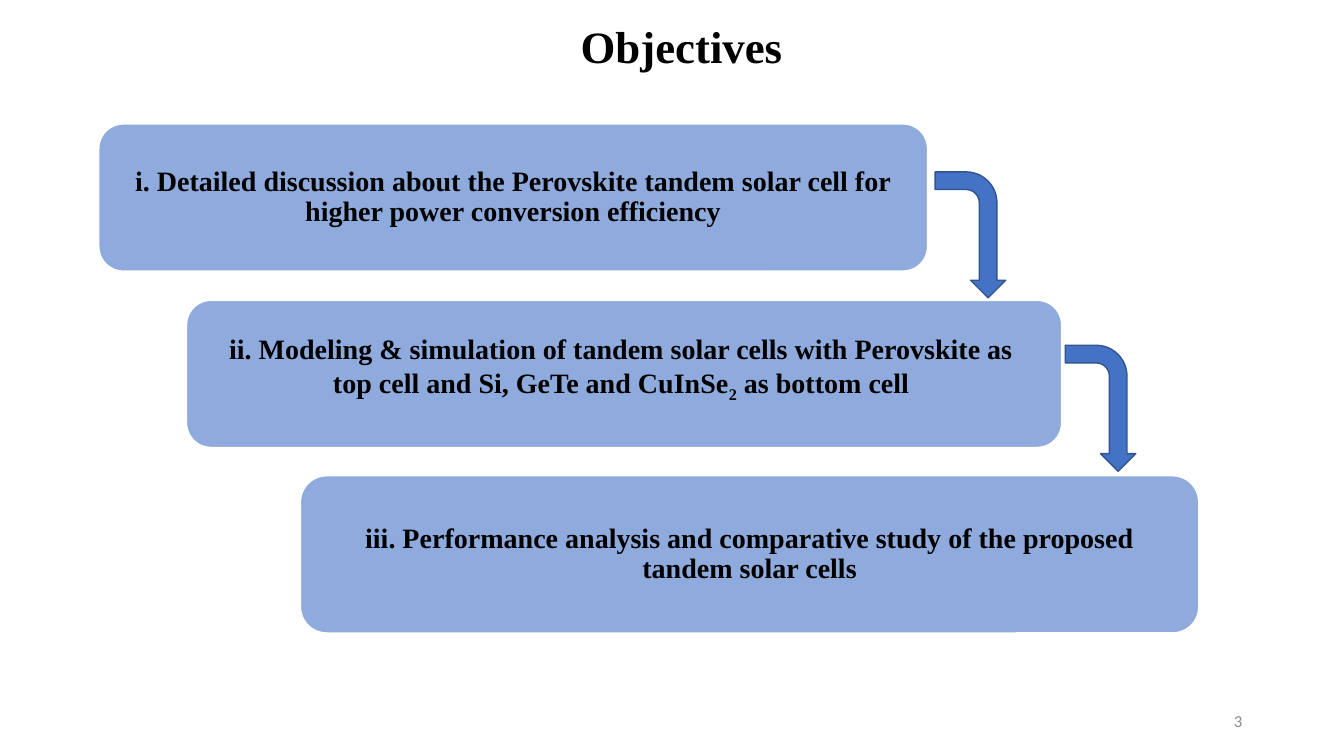
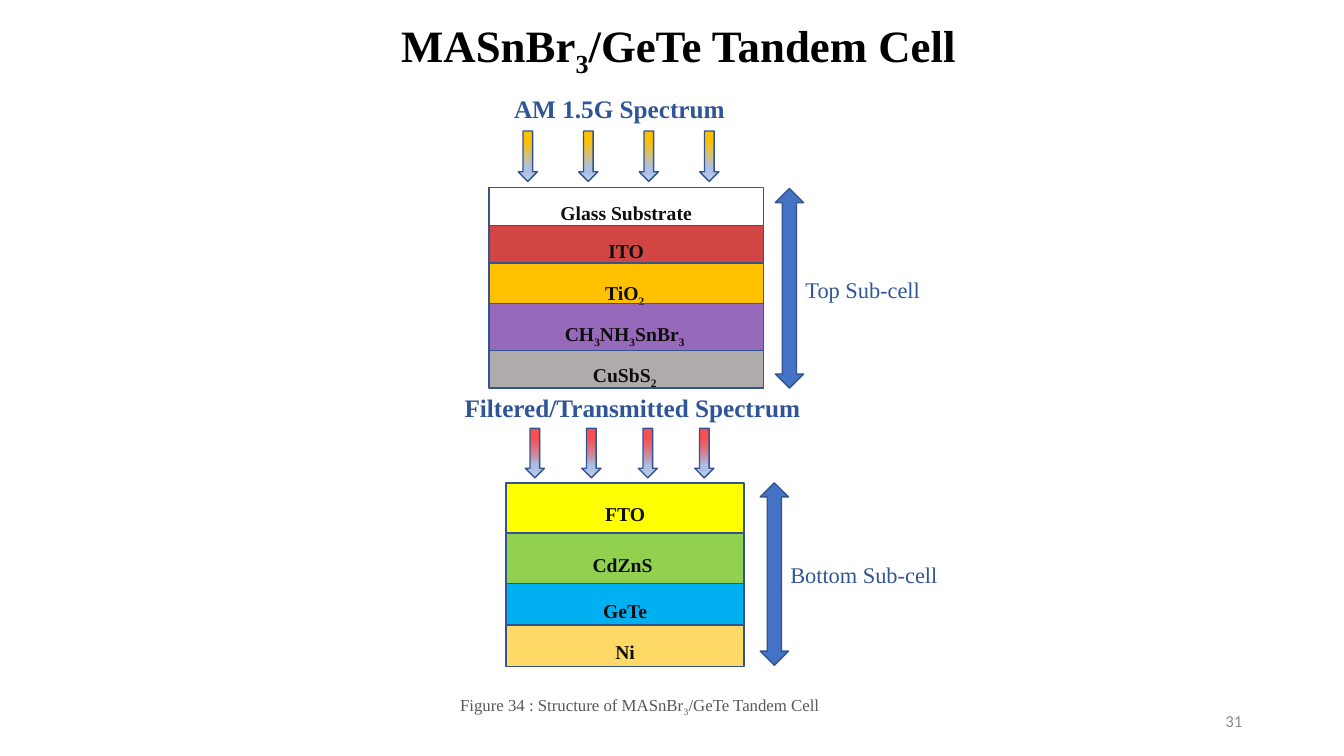
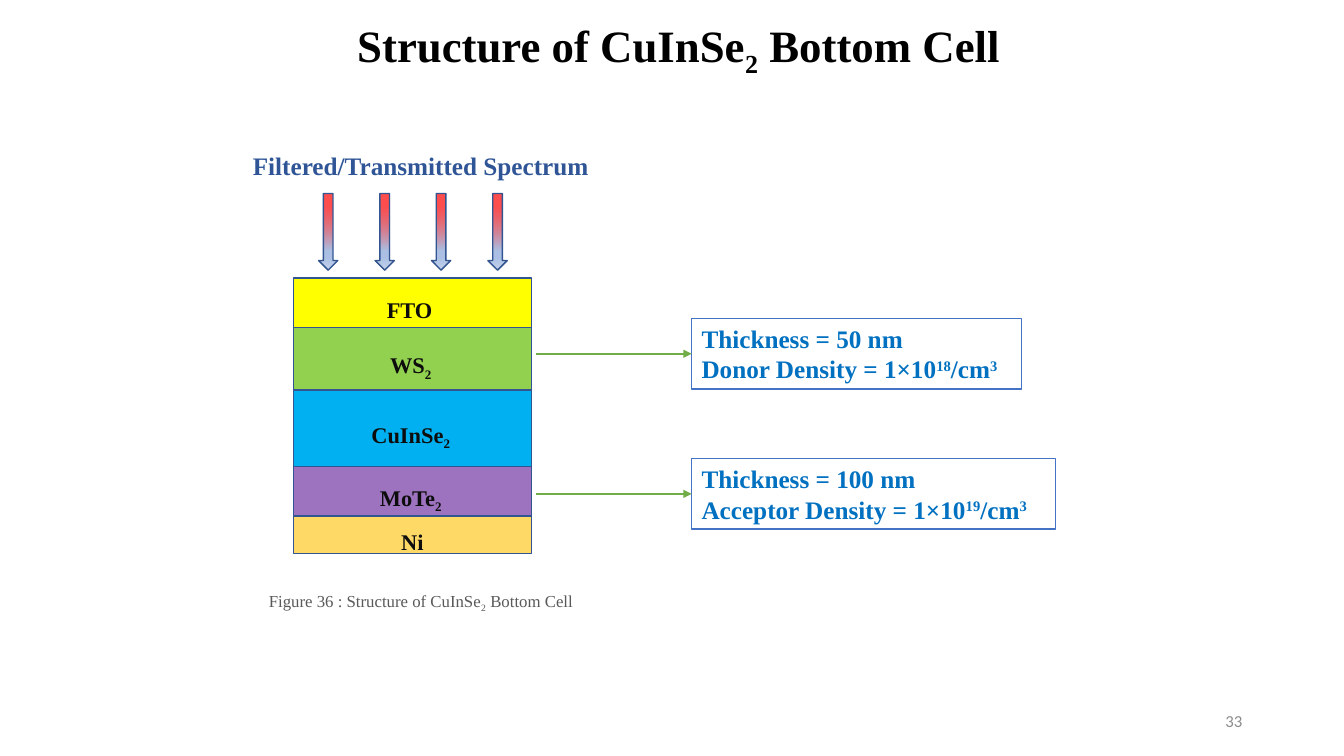
from lxml.etree import SubElement
from pptx import Presentation
from pptx.dml.color import RGBColor
from pptx.enum.shapes import MSO_CONNECTOR, MSO_SHAPE
from pptx.enum.text import MSO_ANCHOR, PP_ALIGN
from pptx.oxml.ns import qn
from pptx.util import Emu, Pt

PX = 9144  # 100 px to the inch
SERIF = "Times New Roman"
BLACK, INK, WHITE = "000000", "0D0D0D", "FFFFFF"
GREY, CAPTION_GREY = "8C8C8C", "595959"
BLUE, OUTLINE, NAVY, PALE_BLUE = "4472C4", "325491", "2F5597", "8FAADC"
NOTE_BLUE, GREEN = "0070C0", "70AD47"

# Gradient stops: position %, colour, opacity %
FADE = [(74, "ABC0E4", 100), (83, "ABC0E4", 100), (100, "C7D5ED", 100)]
SUNLIGHT = [(19, "FFC000", 100)] + FADE
FILTERED_LIGHT = [(14, "FF0000", 70)] + FADE

BASELINES = {"_": "-25000", "^": "30000"}


def px(*lengths):
    return [Emu(length * PX) for length in lengths]


def rgb(color):
    return RGBColor.from_string(color)


def add_alpha(color_element, opacity):
    if opacity < 100:
        SubElement(color_element, qn("a:alpha"), val=str(opacity * 1000))


def write(frame, paragraphs, size, color, bold=False, font=SERIF,
          align=PP_ALIGN.LEFT, anchor=MSO_ANCHOR.TOP, spacing=1.0, after=0,
          wrap=True):
    """Write paragraphs of runs; a leading _ lowers a run, a leading ^ raises it."""
    frame.word_wrap = wrap
    frame.vertical_anchor = anchor
    for index, runs in enumerate(paragraphs):
        para = frame.paragraphs[0] if index == 0 else frame.add_paragraph()
        para.alignment = align
        para.line_spacing = spacing
        para.space_after = Pt(after)
        for text in runs:
            span = para.add_run()
            baseline = BASELINES.get(text[0])
            span.text = text[1:] if baseline else text
            span.font.size = Pt(size)
            span.font.name = font
            span.font.bold = bold
            span.font.color.rgb = rgb(color)
            if baseline:
                span.font._element.set("baseline", baseline)


def add_text(page, box, paragraphs, size, color, **style):
    label = page.shapes.add_textbox(*px(*box))
    write(label.text_frame, paragraphs, size, color, **style)


def add_shape(page, preset, box, fill=None, line=OUTLINE, opacity=100):
    shape = page.shapes.add_shape(preset, *px(*box))
    shape.shadow.inherit = False
    shape.line.color.rgb = rgb(line)
    shape.line.width = Pt(1)
    if fill is None:
        shape.fill.background()
    else:
        shape.fill.solid()
        shape.fill.fore_color.rgb = rgb(fill)
        solid = shape._element.spPr.find(qn("a:solidFill"))
        add_alpha(solid[0], opacity)
    return shape


def fill_gradient(shape, stops):
    shape.fill.gradient()
    shape.fill.gradient_angle = 270
    stop_list = shape._element.spPr.find(qn("a:gradFill")).find(qn("a:gsLst"))
    for old_stop in list(stop_list):
        stop_list.remove(old_stop)
    for position, color, opacity in stops:
        stop = SubElement(stop_list, qn("a:gs"), pos=str(position * 1000))
        add_alpha(SubElement(stop, qn("a:srgbClr"), val=color), opacity)


def start_page(deck, title, number, title_left=173):
    page = deck.slides.add_slide(deck.slide_layouts[6])
    add_text(page, (title_left, 26, 1000, 52), [title], 32, BLACK, bold=True,
             align=PP_ALIGN.CENTER, anchor=MSO_ANCHOR.BOTTOM, spacing=0.9)
    add_text(page, (942, 695, 300, 40), [[number]], 12, GREY, font="Calibri",
             align=PP_ALIGN.RIGHT, anchor=MSO_ANCHOR.MIDDLE)
    return page


def add_objective(page, box, runs, right=24, bottom=8):
    card = add_shape(page, MSO_SHAPE.ROUNDED_RECTANGLE, box, PALE_BLUE, WHITE)
    frame = card.text_frame
    frame.margin_left, frame.margin_top = px(24, 8)
    frame.margin_right, frame.margin_bottom = px(right, bottom)
    write(frame, [runs], 20, BLACK, bold=True, align=PP_ALIGN.CENTER,
          anchor=MSO_ANCHOR.MIDDLE, spacing=0.9)


def add_step_arrow(page, left, top):
    arrow = add_shape(page, MSO_SHAPE.BENT_ARROW, (left, top, 125, 70), BLUE)
    arrow.rotation = 90


def add_layers(page, left, top, width, layers, size):
    """Stack the layers of a cell downwards from the given corner."""
    for runs, height, fill, opacity, anchor in layers:
        layer = add_shape(page, MSO_SHAPE.RECTANGLE,
                          (left, top, width, height), fill, opacity=opacity)
        write(layer.text_frame, [runs], size, INK, bold=True,
              align=PP_ALIGN.CENTER, anchor=anchor, spacing=1.5, after=8)
        top += height


def add_light(page, left, top, height, pitch, stops):
    for index in range(4):
        box = (left + index * pitch, top, 19, height)
        fill_gradient(add_shape(page, MSO_SHAPE.DOWN_ARROW, box), stops)


def add_spectrum_label(page, left, top, width, text):
    add_text(page, (left, top, width, 40), [[text]], 18, NAVY, bold=True,
             wrap=False)


def add_extent(page, left, top, height, label, label_top, label_width):
    """Mark the height of a sub-cell with a double arrow and its name."""
    add_shape(page, MSO_SHAPE.UP_DOWN_ARROW, (left, top, 28, height), BLUE)
    add_text(page, (left + 20, label_top, label_width, 37), [[label]], 16, NAVY,
             wrap=False)


def add_caption(page, box, runs):
    add_text(page, box, [runs], 12, CAPTION_GREY, align=PP_ALIGN.CENTER,
             spacing=1.5, after=10)


def add_layer_note(page, top, width, paragraphs):
    """Place a boxed note and the arrow that leads to it from the layers."""
    left, height, arrow_left = 686, 70, 532
    note = add_shape(page, MSO_SHAPE.RECTANGLE, (left, top, width, height),
                     line=BLUE)
    write(note.text_frame, paragraphs, 18, NOTE_BLUE, bold=True)
    middle = top + height // 2
    arrow = page.shapes.add_connector(MSO_CONNECTOR.STRAIGHT,
                                      *px(arrow_left, middle, left, middle))
    arrow.end_connect(note, 1)
    arrow.line.color.rgb = rgb(GREEN)
    arrow.line.width = Pt(1.5)
    SubElement(arrow.line._get_or_add_ln(), qn("a:tailEnd"), type="triangle")
    SubElement(arrow._element.spPr, qn("a:effectLst"))


def build_objectives(deck):
    page = start_page(deck, ["Objectives"], "3", title_left=176)
    add_objective(page, (98, 123, 822, 146), [
        "i. Detailed discussion about the Perovskite tandem solar cell for "
        "higher power conversion efficiency"])
    add_objective(page, (185, 298, 868, 146), [
        "ii. Modeling & simulation of tandem solar cells with Perovskite as "
        "top cell and Si, GeTe and CuInSe", "_2", " as bottom cell"],
        right=30, bottom=20)
    add_objective(page, (298, 472, 891, 156), [
        "iii. Performance analysis and comparative study of the proposed "
        "tandem solar cells"])
    add_step_arrow(page, 900, 198)
    add_step_arrow(page, 1029, 370)


def build_tandem_cell(deck):
    page = start_page(deck, ["MASnBr", "_3", "/GeTe Tandem Cell"], "31")
    top, middle = MSO_ANCHOR.TOP, MSO_ANCHOR.MIDDLE

    add_spectrum_label(page, 500, 88, 231, "AM 1.5G Spectrum")
    add_light(page, 514, 130, 50, 60, SUNLIGHT)
    add_layers(page, 485, 186, 272, [
        (["Glass Substrate"], 38, WHITE, 100, middle),
        (["ITO"], 37, "C00000", 73, middle),
        (["TiO", "_2 "], 40, "FFC000", 100, top),
        (["CH", "_3", "NH", "_3", "SnBr", "_3 "], 47, "7030A0", 72, top),
        (["CuSbS", "_2 "], 37, "AFABAB", 100, middle),
    ], 14)
    add_extent(page, 769, 187, 198, "Top Sub-cell", 269, 135)

    add_spectrum_label(page, 451, 384, 357, "Filtered/Transmitted Spectrum")
    add_light(page, 521, 425, 49, 56, FILTERED_LIGHT)
    add_layers(page, 502, 479, 236, [
        (["FTO"], 50, "FFFF00", 100, middle),
        (["CdZnS "], 50, "92D050", 100, middle),
        (["GeTe"], 41, "00B0F0", 100, middle),
        (["Ni"], 41, "FFD966", 100, middle),
    ], 14)
    add_extent(page, 754, 479, 181, "Bottom Sub-cell", 552, 168)
    add_caption(page, (430, 673, 409, 37),
                ["Figure 34 : Structure of MASnBr", "_3", "/GeTe Tandem Cell"])


def build_bottom_cell(deck):
    page = start_page(deck, ["Structure of CuInSe", "_2", " Bottom Cell"], "33")
    middle = MSO_ANCHOR.MIDDLE
    add_spectrum_label(page, 241, 144, 357, "Filtered/Transmitted Spectrum")
    add_light(page, 316, 192, 76, 56, FILTERED_LIGHT)
    add_layers(page, 291, 276, 236, [
        (["FTO "], 49, "FFFF00", 100, middle),
        (["WS", "_2 "], 62, "92D050", 100, middle),
        (["CuInSe", "_2 "], 76, "00B0F0", 100, middle),
        (["MoTe", "_2 "], 49, "7030A0", 68, middle),
        (["Ni"], 37, "FFD966", 100, middle),
    ], 16)
    add_layer_note(page, 316, 327, [
        ["Thickness = 50 nm"],
        ["Donor Density = 1×10", "^18", "/cm", "^3"]])
    add_layer_note(page, 455, 361, [
        ["Thickness = 100 nm"],
        ["Acceptor Density = 1×10", "^19", "/cm", "^3"]])
    add_caption(page, (241, 570, 353, 37),
                ["Figure 36 : Structure of CuInSe", "_2", " Bottom Cell"])


def main():
    deck = Presentation()
    deck.slide_width, deck.slide_height = px(1333, 750)
    build_objectives(deck)
    build_tandem_cell(deck)
    build_bottom_cell(deck)
    deck.save("out.pptx")


if __name__ == "__main__":
    main()
